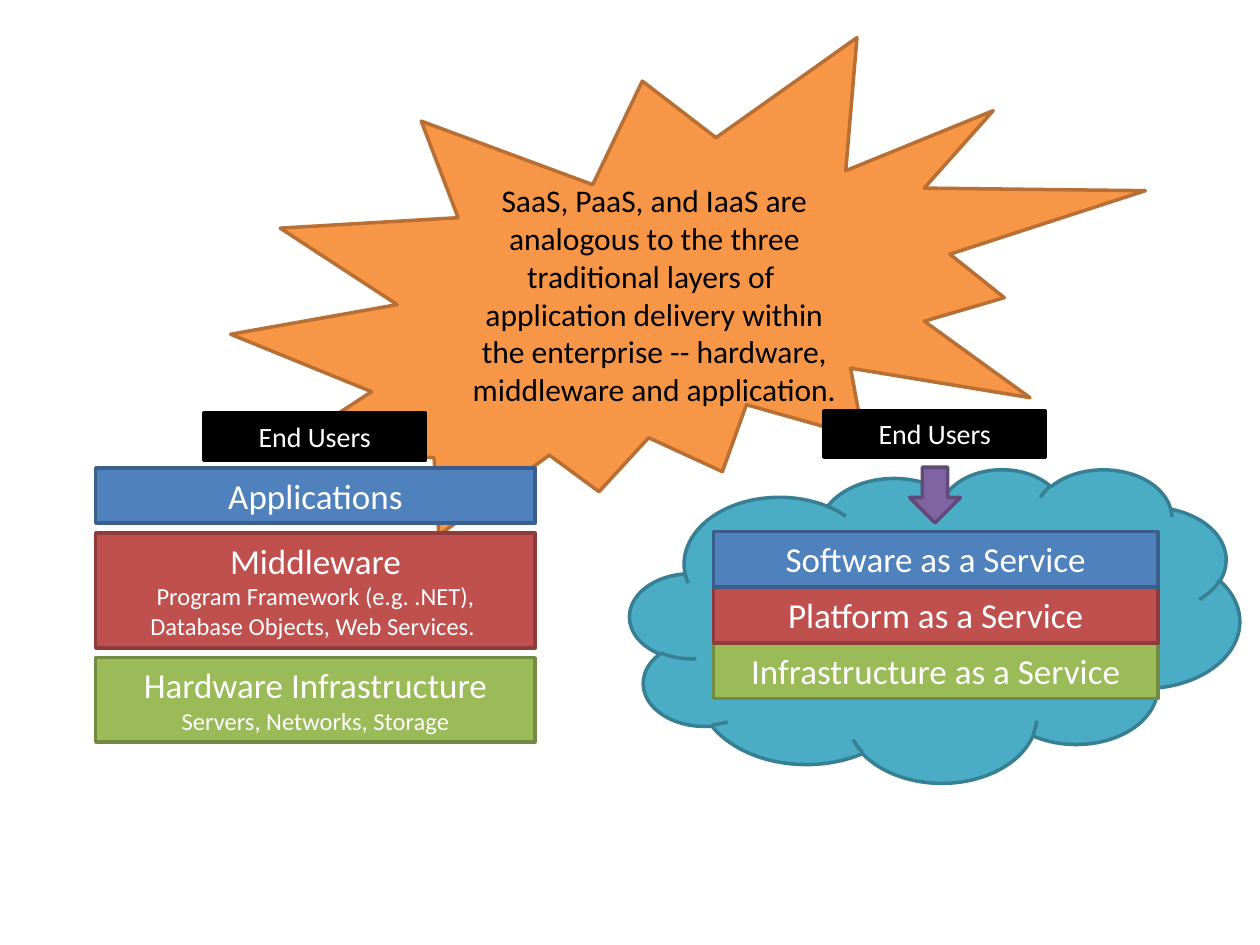
from pptx import Presentation
from pptx.dml.color import RGBColor
from pptx.enum.shapes import MSO_SHAPE
from pptx.enum.text import MSO_ANCHOR, PP_ALIGN
from pptx.util import Cm, Pt

RECTANGLE = MSO_SHAPE.RECTANGLE
BURST = MSO_SHAPE.EXPLOSION2
CLOUD = MSO_SHAPE.CLOUD
DOWN_ARROW = MSO_SHAPE.DOWN_ARROW
TOP = MSO_ANCHOR.TOP
MIDDLE = MSO_ANCHOR.MIDDLE
CENTER = PP_ALIGN.CENTER

COLORS = {
    "black": "000000",
    "white": "FFFFFF",
    "orange": "F79646",
    "orange_edge": "B76F34",
    "blue": "4F81BD",
    "blue_edge": "3A5F8C",
    "red": "C0504D",
    "red_edge": "8E3B39",
    "green": "9BBB59",
    "green_edge": "738A42",
    "teal": "4BACC6",
    "teal_edge": "377F92",
    "purple": "8064A2",
    "purple_edge": "5F4A78",
}

MESSAGE = (
    "SaaS, PaaS, and IaaS are analogous to the three traditional layers of \v"
    "application delivery within the enterprise -- hardware, middleware and application."
)

ENTERPRISE_LAYERS = [
    ("blue", 1.11, ["Applications"]),
    ("red", 2.31, ["Middleware",
                   "Program Framework (e.g. .NET), Database Objects, Web Services. "]),
    ("green", 1.7, ["Hardware Infrastructure", "Servers, Networks, Storage"]),
]
CLOUD_LAYERS = [
    ("blue", 1.12, ["Software as a Service"]),
    ("red", 1.12, ["Platform as a Service"]),
    ("green", 1.12, ["Infrastructure as a Service"]),
]


class Painter:
    font_name = "Calibri"
    line_width = Pt(2)
    title_size = 20
    detail_size = 14

    def __init__(self, slide):
        self.slide = slide

    def shape(self, kind, left, top, width, height, fill, edge):
        shape = self.slide.shapes.add_shape(
            kind, Cm(left), Cm(top), Cm(width), Cm(height))
        shape.shadow.inherit = False
        shape.fill.solid()
        shape.fill.fore_color.rgb = RGBColor.from_string(COLORS[fill])
        shape.line.color.rgb = RGBColor.from_string(COLORS[edge])
        shape.line.width = self.line_width
        return shape

    def label(self, shape, lines, sizes, color, anchor):
        frame = shape.text_frame
        frame.word_wrap = True
        frame.vertical_anchor = anchor
        for index, (line, size) in enumerate(zip(lines, sizes)):
            para = frame.add_paragraph() if index else frame.paragraphs[0]
            para.text = line
            para.alignment = CENTER
            para.font.name = self.font_name
            para.font.size = Pt(size)
            para.font.color.rgb = RGBColor.from_string(COLORS[color])

    def burst(self, left, top, width, height, text):
        burst = self.shape(BURST, left, top, width, height, "orange", "orange_edge")
        self.label(burst, [text], [18], "black", MIDDLE)

    def stack(self, layers, left, bottom, width, gap):
        top = bottom
        for color, height, lines in reversed(layers):
            top -= height
            box = self.shape(RECTANGLE, left, top, width, height, color, f"{color}_edge")
            self.label(box, lines, [self.title_size, self.detail_size], "white", TOP)
            top -= gap

    def end_users(self, left, top):
        box = self.shape(RECTANGLE, left, top, 4.47, 0.94, "black", "black")
        self.label(box, ["End Users"], [16], "white", TOP)


def main():
    deck = Presentation()
    deck.slide_width = Cm(25.4)
    deck.slide_height = Cm(19.05)
    painter = Painter(deck.slides.add_slide(deck.slide_layouts[6]))

    painter.burst(4.65, 0.76, 18.44, 10.03, MESSAGE)

    painter.stack(ENTERPRISE_LAYERS, left=1.93, bottom=14.96, width=8.86, gap=0.2)
    painter.end_users(4.11, 8.33)

    painter.shape(CLOUD, 12.7, 9.45, 12.29, 6.32, "teal", "teal_edge")
    painter.stack(CLOUD_LAYERS, left=14.38, bottom=14.08, width=8.97, gap=0)
    painter.end_users(16.61, 8.28)
    painter.shape(DOWN_ARROW, 18.34, 9.42, 1.02, 1.12, "purple", "purple_edge")

    deck.save("out.pptx")


if __name__ == "__main__":
    main()
